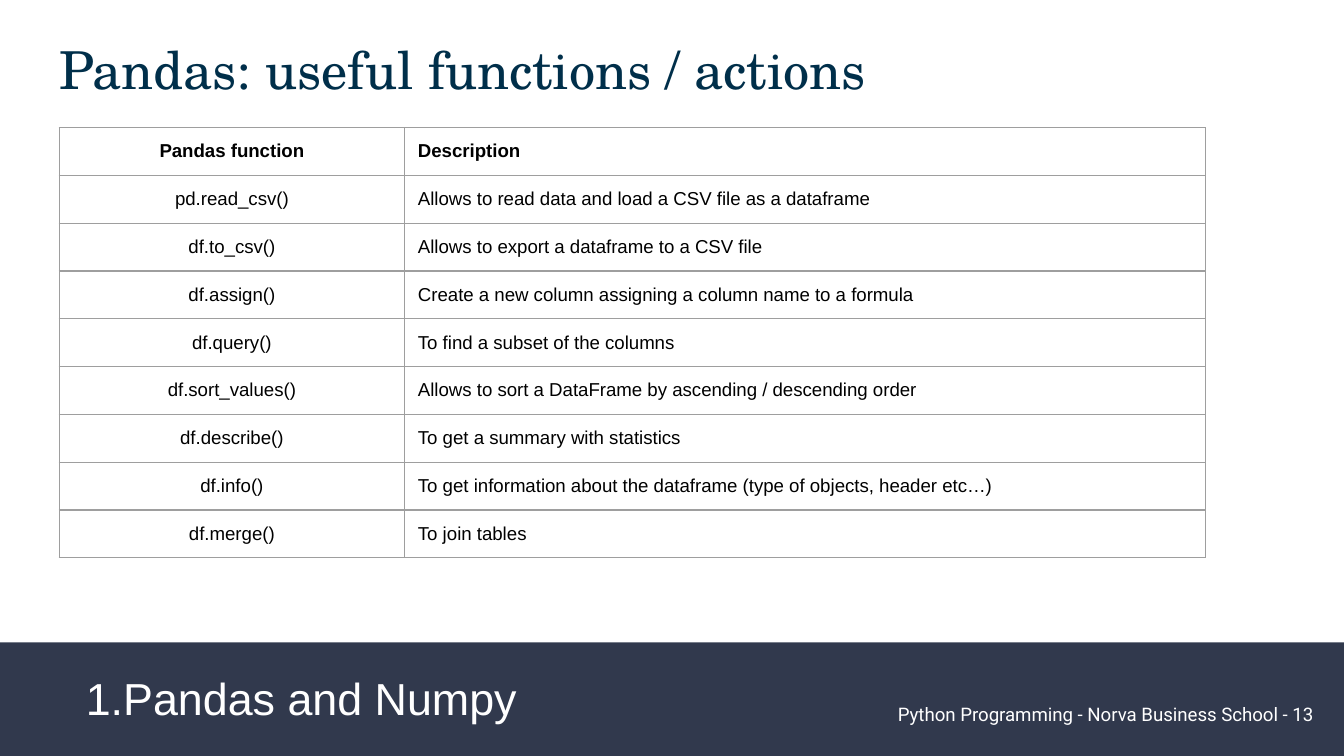
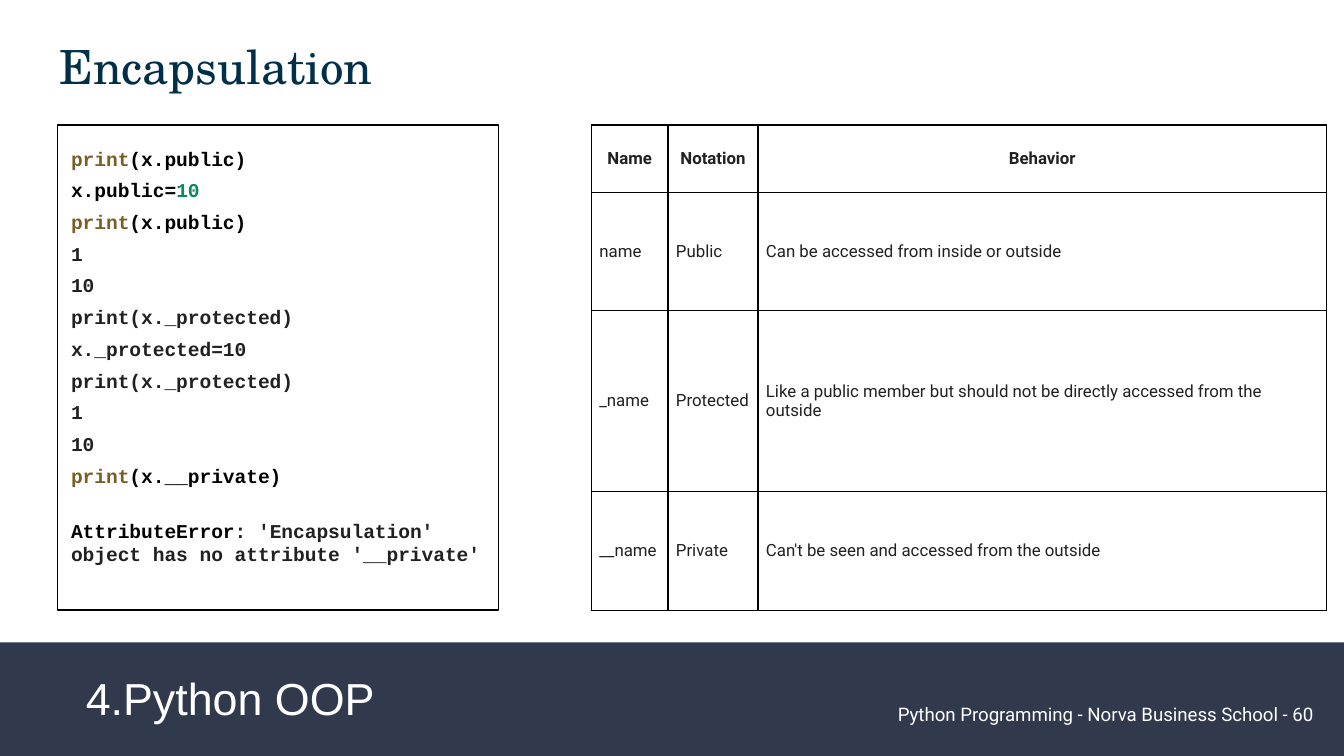
from dataclasses import dataclass
from typing import Any

from lxml import etree
from pptx import Presentation
from pptx.dml.color import RGBColor
from pptx.enum.shapes import MSO_SHAPE
from pptx.enum.text import MSO_ANCHOR, MSO_AUTO_SIZE, PP_ALIGN
from pptx.oxml.ns import qn
from pptx.util import Inches, Pt

RECTANGLE = MSO_SHAPE.RECTANGLE
TOP, MIDDLE = MSO_ANCHOR.TOP, MSO_ANCHOR.MIDDLE
LEFT, CENTER, RIGHT = PP_ALIGN.LEFT, PP_ALIGN.CENTER, PP_ALIGN.RIGHT
FIXED_SIZE = MSO_AUTO_SIZE.NONE

SLIDE_WIDTH = Inches(10)
SLIDE_HEIGHT = SLIDE_WIDTH * 9 // 16

WHITE, BLACK, INK = "FFFFFF", "000000", "212121"
NAVY, BAND, GRID = "002F4A", "31394D", "9E9E9E"
KEYWORD, NUMBER = "795E26", "09885A"
BORDER_WIDTH = Pt(0.75)
COURSE = "Python Programming - Norva Business School"


@dataclass(frozen=True)
class Box:
    left: float
    top: float
    width: float
    height: float


@dataclass(frozen=True)
class TextStyle:
    font: str
    size: float
    color: str
    bold: bool = False
    align: Any = LEFT
    anchor: Any = TOP


@dataclass(frozen=True)
class Grid:
    left: float
    top: float
    columns: list[float]
    rows: list[float]
    border: str
    margin: float
    style: TextStyle
    header_aligns: list[Any]
    body_aligns: list[Any]
    cells: list[list[str]]
    fill: str | None = None


@dataclass(frozen=True)
class Page:
    title: str
    title_size: float
    chapter: str
    chapter_width: float
    number: int


CHAPTER = TextStyle("Arial", 24, WHITE)
FOOTER = TextStyle("Roboto", 10, WHITE, align=RIGHT, anchor=MIDDLE)
CODE_SIZE = 10.5
CODE_SPACING = 19 / 14

FUNCTIONS = [
    ["Pandas function", "Description"],
    ["pd.read_csv()", "Allows to read data and load a CSV file as a dataframe"],
    ["df.to_csv()", "Allows to export a dataframe to a CSV file"],
    ["df.assign()", "Create a new column assigning a column name to a formula"],
    ["df.query()", "To find a subset of the columns"],
    ["df.sort_values()", "Allows to sort a DataFrame by ascending / descending order"],
    ["df.describe()", "To get a summary with statistics"],
    ["df.info()", "To get information about the dataframe (type of objects, header etc…)"],
    ["df.merge()", "To join tables"],
]

ACCESS_LEVELS = [
    ["Name", "Notation", "Behavior"],
    ["name", "Public", "Can be accessed from inside or outside"],
    ["_name", "Protected",
     "Like a public member but should not be directly accessed from the outside"],
    ["__name", "Private", "Can't be seen and accessed from the outside"],
]

PRINT_PUBLIC = [("print", KEYWORD), ("(x.public)", BLACK)]
PRINT_PROTECTED = [("print(x._protected)", INK)]
PRINTED_VALUES = [[("1", INK)], [("10", INK)]]
CODE_LINES = [
    PRINT_PUBLIC,
    [("x.public=", BLACK), ("10", NUMBER)],
    PRINT_PUBLIC,
    *PRINTED_VALUES,
    PRINT_PROTECTED,
    [("x._protected=10", INK)],
    PRINT_PROTECTED,
    *PRINTED_VALUES,
    [("print", KEYWORD), ("(x.__private)", BLACK)],
]
ERROR_LINE = [
    ("AttributeError", BLACK),
    (": 'Encapsulation' object has no attribute '__private'", INK),
]


def rgb(color: str) -> RGBColor:
    return RGBColor.from_string(color)


def apply(target: Any, values: dict[str, Any]) -> None:
    for attribute, value in values.items():
        setattr(target, attribute, value)


def place(box: Box) -> list[int]:
    return [Inches(v) for v in (box.left, box.top, box.width, box.height)]


def margins(size: float) -> dict[str, Any]:
    return {f"margin_{side}": Inches(size) for side in ("left", "top", "right", "bottom")}


def add_run(paragraph: Any, text: str, style: TextStyle) -> None:
    run = paragraph.add_run()
    run.text = text
    apply(run.font, {"name": style.font, "size": Pt(style.size), "bold": style.bold})
    run.font.color.rgb = rgb(style.color)


def prepare_frame(frame: Any, anchor: Any) -> None:
    apply(frame, {"word_wrap": True, "auto_size": FIXED_SIZE,
                  "vertical_anchor": anchor, **margins(0.1)})


def write(frame: Any, text: str, style: TextStyle) -> None:
    prepare_frame(frame, style.anchor)
    paragraph = frame.paragraphs[0]
    paragraph.alignment = style.align
    add_run(paragraph, text, style)


def add_text(slide: Any, box: Box, text: str, style: TextStyle) -> None:
    write(slide.shapes.add_textbox(*place(box)).text_frame, text, style)


def paint(fill: Any, color: str | None) -> None:
    if color:
        fill.solid()
        fill.fore_color.rgb = rgb(color)
    else:
        fill.background()


def add_rectangle(slide: Any, box: Box, fill: str | None, line: str | None) -> Any:
    rectangle = slide.shapes.add_shape(RECTANGLE, *place(box))
    rectangle.shadow.inherit = False
    paint(rectangle.fill, fill)
    paint(rectangle.line.fill, line)
    if line:
        rectangle.line.width = BORDER_WIDTH
    return rectangle


def set_borders(cell: Any, color: str) -> None:
    properties = cell._tc.get_or_add_tcPr()
    for side in ("a:lnL", "a:lnR", "a:lnT", "a:lnB"):
        line = etree.SubElement(properties, qn(side), w=str(int(BORDER_WIDTH)))
        fill = etree.SubElement(line, qn("a:solidFill"))
        etree.SubElement(fill, qn("a:srgbClr"), val=color)


def add_grid(slide: Any, grid: Grid) -> None:
    box = Box(grid.left, grid.top, sum(grid.columns), sum(grid.rows))
    table = slide.shapes.add_table(len(grid.rows), len(grid.columns), *place(box)).table
    apply(table, {"first_row": False, "horz_banding": False})
    for column, width in zip(table.columns, grid.columns):
        column.width = Inches(width)
    for row, height in zip(table.rows, grid.rows):
        row.height = Inches(height)
    for r, texts in enumerate(grid.cells):
        aligns = grid.body_aligns if r else grid.header_aligns
        style = TextStyle(grid.style.font, grid.style.size, grid.style.color, bold=r == 0)
        for c, (text, align) in enumerate(zip(texts, aligns)):
            cell = table.cell(r, c)
            apply(cell, {"vertical_anchor": grid.style.anchor, **margins(grid.margin)})
            set_borders(cell, grid.border)
            paint(cell.fill, grid.fill)
            paragraph = cell.text_frame.paragraphs[0]
            paragraph.alignment = align
            add_run(paragraph, text, style)


def add_code(slide: Any, box: Box) -> None:
    frame = add_rectangle(slide, box, None, BLACK).text_frame
    prepare_frame(frame, TOP)
    listing = {"alignment": LEFT, "line_spacing": CODE_SPACING}
    error = {"alignment": LEFT, "space_before": Pt(17)}
    lines = [(line, listing) for line in CODE_LINES] + [(ERROR_LINE, error)]
    for index, (pieces, layout) in enumerate(lines):
        paragraph = frame.add_paragraph() if index else frame.paragraphs[0]
        apply(paragraph, layout)
        for text, color in pieces:
            add_run(paragraph, text, TextStyle("Courier New", CODE_SIZE, color, bold=True))


def add_page(deck: Any, page: Page) -> Any:
    slide = deck.slides.add_slide(deck.slide_layouts[5])
    paint(slide.background.fill, WHITE)
    add_rectangle(slide, Box(0, 4.78, 10, 0.85), BAND, None)
    title = slide.shapes.title
    apply(title, dict(zip(("left", "top", "width", "height"),
                          place(Box(0.34, 0.18, 9.32, 0.91)))))
    write(title.text_frame, page.title,
          TextStyle("TeX Gyre Schola", page.title_size, NAVY))
    add_text(slide, Box(5.94, 5.1, 3.93, 0.43), f"{COURSE} - {page.number}", FOOTER)
    add_text(slide, Box(0.54, 4.89, page.chapter_width, 0.64), page.chapter, CHAPTER)
    return slide


def main() -> None:
    deck = Presentation()
    apply(deck, {"slide_width": SLIDE_WIDTH, "slide_height": SLIDE_HEIGHT})

    pandas = add_page(deck, Page("Pandas: useful functions / actions", 28,
                                 "1.Pandas and Numpy", 4.95, 13))
    add_grid(pandas, Grid(
        0.44, 0.95, [2.57, 5.96], [0.35] * len(FUNCTIONS), GRID, 0.1,
        TextStyle("Arial", 10, BLACK), [CENTER, LEFT], [CENTER, LEFT], FUNCTIONS))

    encapsulation = add_page(deck, Page("Encapsulation", 25.2, "4.Python OOP", 3.06, 60))
    add_code(encapsulation, Box(0.43, 0.93, 3.28, 3.61))
    add_grid(encapsulation, Grid(
        4.4, 0.93, [0.57, 0.67, 4.23], [0.5, 0.88, 1.35, 0.88], BLACK, 0.06,
        TextStyle("Roboto", 9, INK, anchor=MIDDLE), [CENTER] * 3, [LEFT] * 3,
        ACCESS_LEVELS, WHITE))

    deck.save("out.pptx")


if __name__ == "__main__":
    main()
